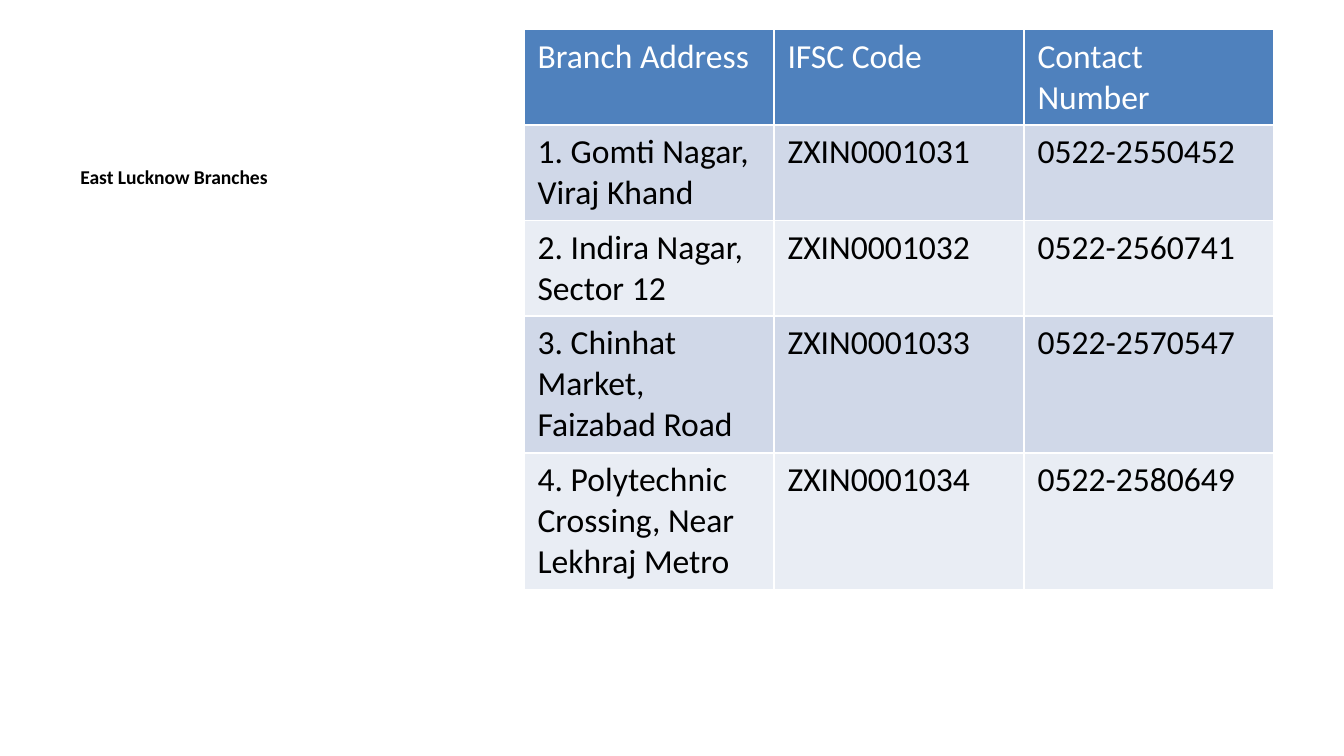
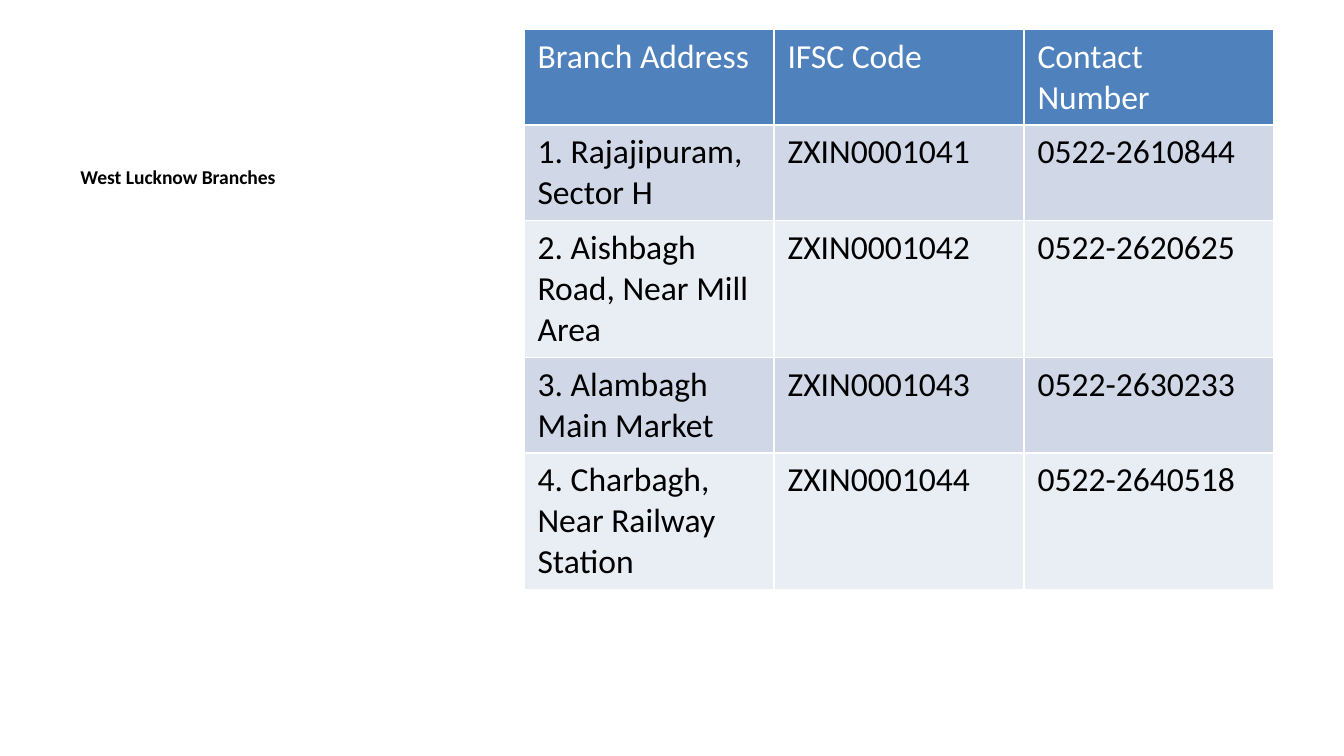
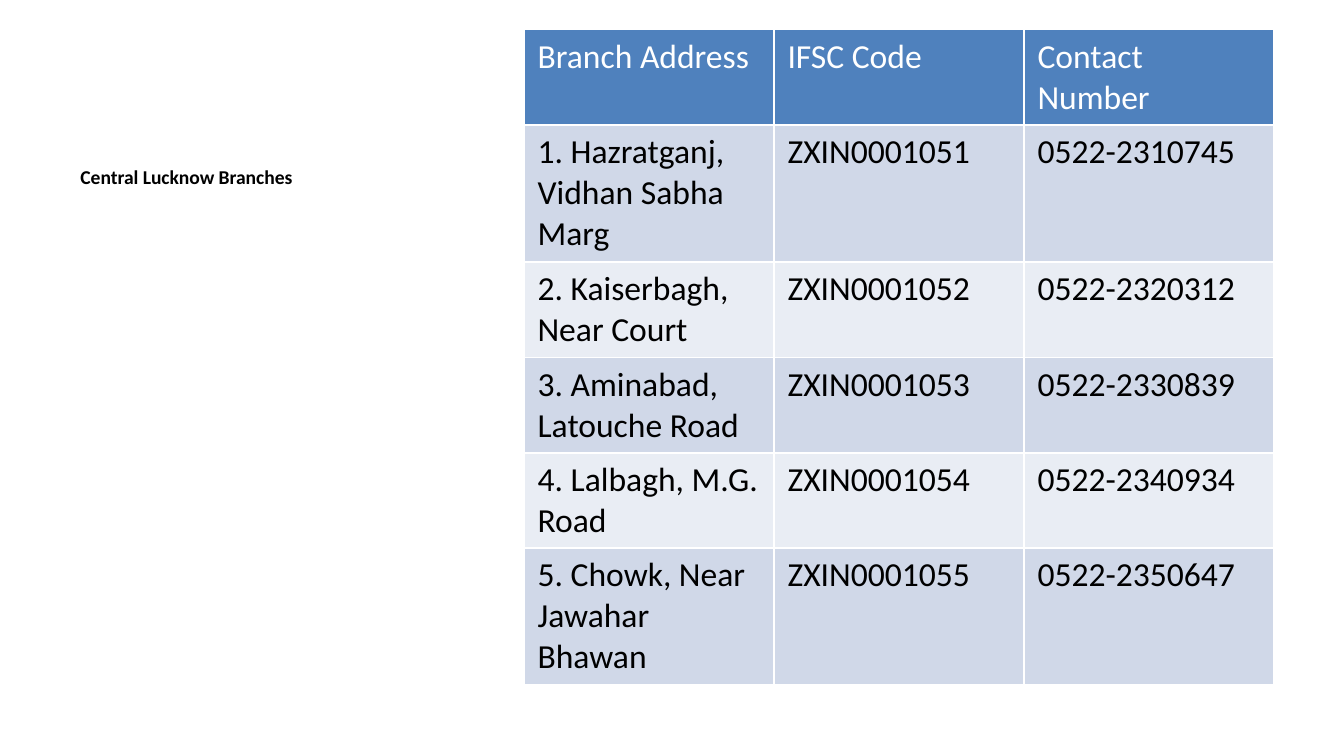
from lxml.etree import SubElement
from pptx import Presentation
from pptx.dml.color import RGBColor
from pptx.oxml.ns import qn
from pptx.util import Inches, Pt

WHITE = RGBColor(0xFF, 0xFF, 0xFF)
BLACK = RGBColor(0x00, 0x00, 0x00)
BLUE = RGBColor(0x4F, 0x81, 0xBD)
BAND_DARK = RGBColor(0xD0, 0xD8, 0xE8)
BAND_LIGHT = RGBColor(0xE9, 0xED, 0xF4)
FONT = "Calibri"
BLANK = 6
TWO_LINES = 28  # longest address that fits on two lines

HEADERS = ["Branch Address", "IFSC Code", "Contact Number"]
REGIONS = {
    "East Lucknow Branches": [
        ("1. Gomti Nagar, Viraj Khand", "ZXIN0001031", "0522-2550452"),
        ("2. Indira Nagar, Sector 12", "ZXIN0001032", "0522-2560741"),
        ("3. Chinhat Market, Faizabad Road", "ZXIN0001033", "0522-2570547"),
        ("4. Polytechnic Crossing, Near Lekhraj Metro", "ZXIN0001034", "0522-2580649"),
    ],
    "West Lucknow Branches": [
        ("1. Rajajipuram, Sector H", "ZXIN0001041", "0522-2610844"),
        ("2. Aishbagh Road, Near Mill Area", "ZXIN0001042", "0522-2620625"),
        ("3. Alambagh Main Market", "ZXIN0001043", "0522-2630233"),
        ("4. Charbagh, Near Railway Station", "ZXIN0001044", "0522-2640518"),
    ],
    "Central Lucknow Branches": [
        ("1. Hazratganj, Vidhan Sabha Marg", "ZXIN0001051", "0522-2310745"),
        ("2. Kaiserbagh, Near Court", "ZXIN0001052", "0522-2320312"),
        ("3. Aminabad, Latouche Road", "ZXIN0001053", "0522-2330839"),
        ("4. Lalbagh, M.G. Road", "ZXIN0001054", "0522-2340934"),
        ("5. Chowk, Near Jawahar Bhawan", "ZXIN0001055", "0522-2350647"),
    ],
}


def write(tf, text, size=18, color=BLACK, bold=False):
    r = tf.paragraphs[0].add_run()
    r.text = text
    r.font.name = FONT
    r.font.size = Pt(size)
    r.font.bold = bold
    r.font.color.rgb = color


def set_borders(cell, color=WHITE, width=1):
    tcPr = cell._tc.get_or_add_tcPr()
    for side in ("lnL", "lnR", "lnT", "lnB"):
        ln = SubElement(tcPr, qn(f"a:{side}"), w=str(Pt(width)))
        fill = SubElement(ln, qn("a:solidFill"))
        SubElement(fill, qn("a:srgbClr"), val=str(color))


class Deck:
    """Holds the presentation and the slide being built."""

    def __init__(self):
        self.prs = Presentation()
        # Widescreen, 16:9
        self.prs.slide_width = Inches(10)
        self.prs.slide_height = Inches(10) * 9 // 16

    def new_slide(self):
        self.s = self.prs.slides.add_slide(self.prs.slide_layouts[BLANK])
        self.s.background.fill.solid()
        self.s.background.fill.fore_color.rgb = WHITE

    def region_name(self, text):
        sp = self.s.shapes.add_textbox(Inches(0.5), Inches(1.18), Inches(3.29), Inches(3.85))
        sp.text_frame.word_wrap = True
        write(sp.text_frame, text, size=10.5, bold=True)

    def branch_table(self, branches):
        rows = [HEADERS, *branches]
        table = self.s.shapes.add_table(
            len(rows), len(HEADERS), Inches(3.9), Inches(0.22),
            Inches(5.58), Inches(4.79)).table
        for i, row in enumerate(rows):
            table.rows[i].height = Inches(1.02 if len(row[0]) > TWO_LINES else 0.71)
            band = BLUE if i == 0 else BAND_DARK if i % 2 else BAND_LIGHT
            for j, text in enumerate(row):
                cell = table.cell(i, j)
                set_borders(cell)
                cell.fill.solid()
                cell.fill.fore_color.rgb = band
                write(cell.text_frame, text, color=BLACK if i else WHITE)


def main():
    deck = Deck()
    # One slide for each region
    for region, branches in REGIONS.items():
        deck.new_slide()
        deck.region_name(region)
        deck.branch_table(branches)
    deck.prs.save("out.pptx")


if __name__ == "__main__":
    main()
